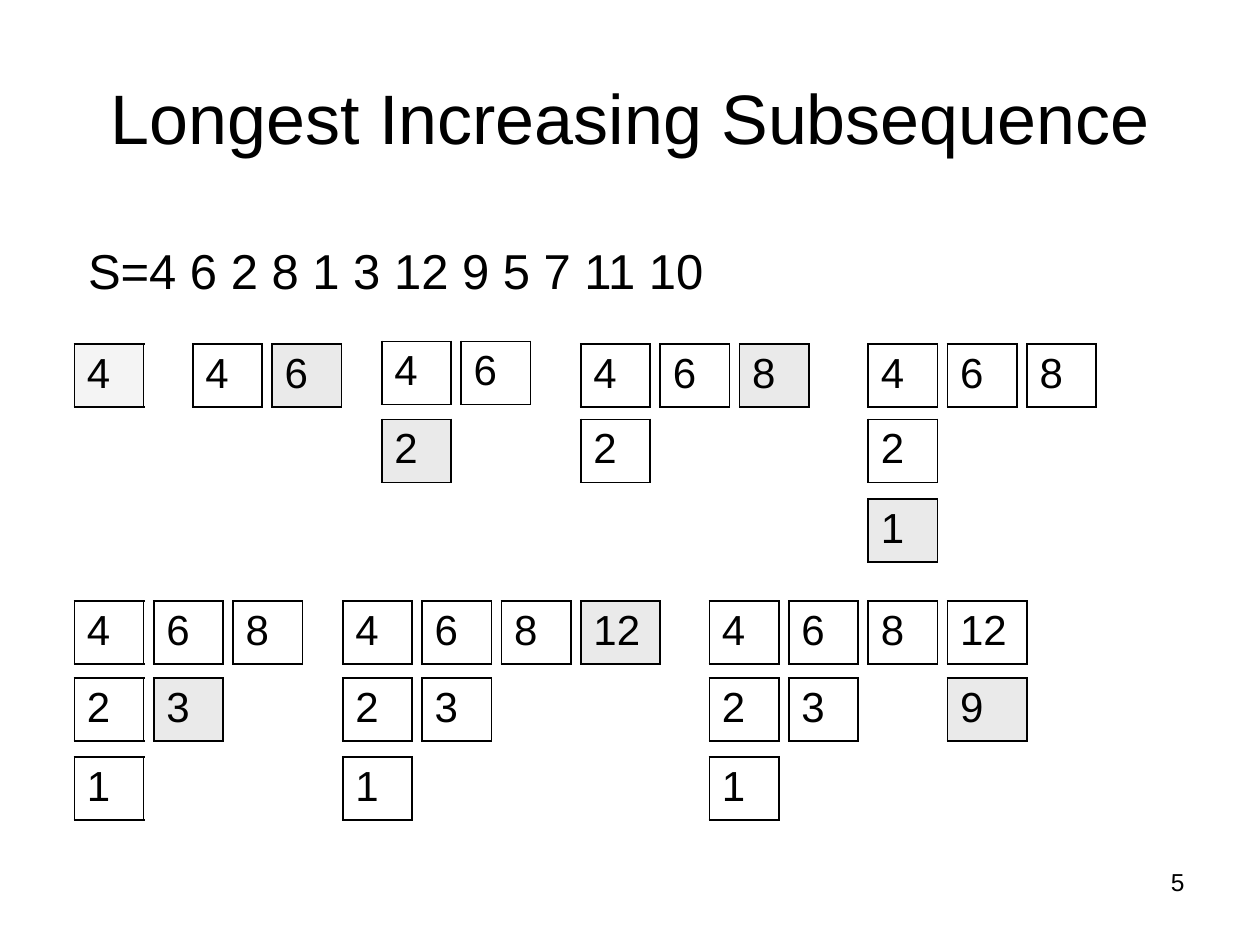
"""Build a slide tracing the longest increasing subsequence step by step."""
import pptx
import pptx.dml.color
import pptx.enum.text
import pptx.oxml.ns
import pptx.util
from lxml import etree

Inches = pptx.util.Inches
Pt = pptx.util.Pt
ALIGN = pptx.enum.text.PP_ALIGN
ANCHOR = pptx.enum.text.MSO_ANCHOR
qn = pptx.oxml.ns.qn

BLACK = pptx.dml.color.RGBColor(0x00, 0x00, 0x00)
GRAY = pptx.dml.color.RGBColor(0xEA, 0xEA, 0xEA)

COL_STEP = 0.63
CELL_WIDTH, WIDE_CELL_WIDTH, CELL_HEIGHT = 0.55, 0.63, 0.5
WIDE_COL = 3
UPPER = (2.73, 3.33, 3.96)
RAISED = (2.71, 3.33)
LOWER = (4.77, 5.38, 6.01)

# Each step: left edge, row tops, rows of numbers, newly placed number, opacity.
STEPS = [
    (0.59, UPPER, [["4"]], "4", 50),
    (1.53, UPPER, [["4", "6"]], "6", 100),
    (3.03, RAISED, [["4", "6"], ["2"]], "2", 100),
    (4.61, UPPER, [["4", "6", "8"], ["2"]], "8", 100),
    (6.89, UPPER, [["4", "6", "8"], ["2"], ["1"]], "1", 100),
    (0.59, LOWER, [["4", "6", "8"], ["2", "3"], ["1"]], "3", 100),
    (2.72, LOWER, [["4", "6", "8", "12"], ["2", "3"], ["1"]], "12", 100),
    (5.63, LOWER, [["4", "6", "8", "12"], ["2", "3", None, "9"], ["1"]], "9", 100),
]


def write_text(tf, text, size=24, align=ALIGN.LEFT, color=BLACK, font="Arial"):
    """Write one formatted paragraph into a text frame."""
    p = tf.paragraphs[0]
    p.alignment = align
    r = p.add_run()
    r.text = text
    r.font.size = Pt(size)
    r.font.name = font
    r.font.color.rgb = color


def add_label(slide, left, top, width, height, text, anchor=ANCHOR.TOP, wrap=True, **fmt):
    """Add a text box holding one line of text."""
    sp = slide.shapes.add_textbox(Inches(left), Inches(top), Inches(width), Inches(height))
    tf = sp.text_frame
    tf.word_wrap = wrap
    tf.vertical_anchor = anchor
    write_text(tf, text, **fmt)


def set_borders(cell, width=1.08, color=BLACK):
    """Draw a solid line on all four sides of a table cell."""
    tc_pr = cell._tc.get_or_add_tcPr()
    for side in ("a:lnL", "a:lnR", "a:lnT", "a:lnB"):
        ln = etree.SubElement(tc_pr, qn(side), w=str(int(Pt(width))))
        fill = etree.SubElement(ln, qn("a:solidFill"))
        etree.SubElement(fill, qn("a:srgbClr"), val=str(color))


def set_fill(cell, color, opacity):
    """Fill a table cell with a colour at an opacity in percent."""
    cell.fill.solid()
    cell.fill.fore_color.rgb = color
    if opacity < 100:
        clr = cell._tc.tcPr.find(qn("a:solidFill")).find(qn("a:srgbClr"))
        etree.SubElement(clr, qn("a:alpha"), val=str(opacity * 1000))


def add_number(slide, left, top, width, text, is_new, opacity):
    """Add a one-cell table with a number, shaded when newly placed."""
    frame = slide.shapes.add_table(
        1, 1, Inches(left), Inches(top), Inches(width), Inches(CELL_HEIGHT))
    table = frame.table
    table.first_row = False
    table.horz_banding = False
    cell = table.cell(0, 0)
    set_borders(cell)
    if is_new:
        set_fill(cell, GRAY, opacity)
    else:
        cell.fill.background()
    write_text(cell.text_frame, text)


def add_step(slide, left, tops, rows, new_number, opacity):
    """Add the stacks of numbers for one step of the algorithm."""
    for top, numbers in zip(tops, rows):
        for col, number in enumerate(numbers):
            if number is None:
                continue
            width = WIDE_CELL_WIDTH if col == WIDE_COL else CELL_WIDTH
            add_number(slide, left + col * COL_STEP, top, width, number,
                       number == new_number, opacity)


def main():
    """Build and save the presentation."""
    prs = pptx.Presentation()
    prs.slide_width, prs.slide_height = Inches(10), Inches(7.5)
    slide = prs.slides.add_slide(prs.slide_layouts[6])
    add_label(slide, 0.5, 0.3, 9, 1.25, "Longest Increasing Subsequence",
              anchor=ANCHOR.MIDDLE, size=40, align=ALIGN.CENTER)
    add_label(slide, 0.6, 1.86, 5.11, 0.57, "S=4 6 2 8 1 3 12 9 5 7 11 10",
              wrap=False, size=28)
    for step in STEPS:
        add_step(slide, *step)
    add_label(slide, 7.17, 6.83, 2.33, 0.52, "5", size=14, align=ALIGN.RIGHT)
    prs.save("out.pptx")


if __name__ == "__main__":
    main()
